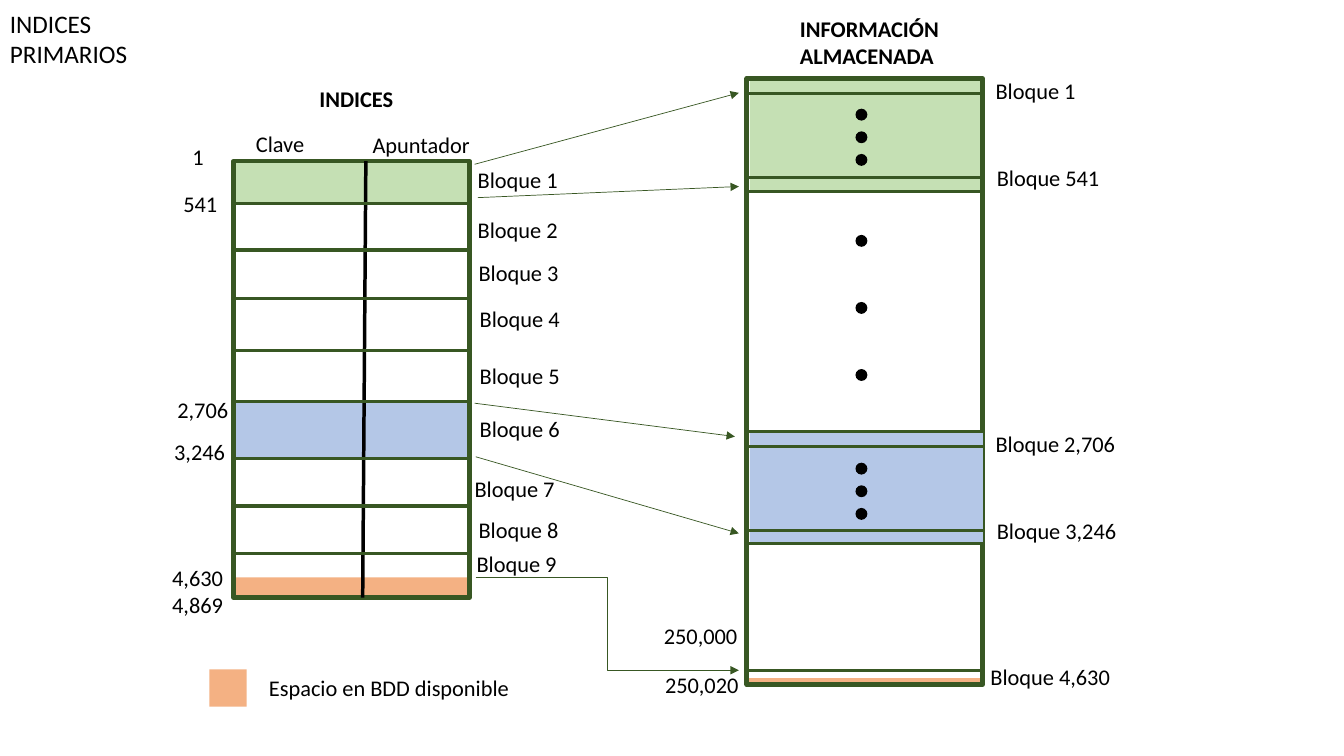
from lxml.etree import SubElement
from pptx import Presentation
from pptx.dml.color import RGBColor
from pptx.enum.shapes import MSO_CONNECTOR, MSO_SHAPE
from pptx.oxml.ns import qn
from pptx.util import Cm, Pt

GREEN, BLUE, ORANGE = "C5E0B4", "B4C7E7", "F4B183"
BORDER, BLACK = "385723", "000000"


def color(value):
    """Turn a hex string into a colour."""
    return RGBColor.from_string(value)


class Diagram:
    """Draw styled elements on one page, with lengths in centimetres."""

    def __init__(self, page, font="Calibri", size=16):
        """Keep the page and its text style."""
        self.page, self.font, self.size = page, font, size

    def shape(self, left, top, width, height, fill=None, kind=MSO_SHAPE.RECTANGLE):
        """Add a filled shape, or a frame when no fill is given."""
        shape = self.page.shapes.add_shape(kind, Cm(left), Cm(top), Cm(width), Cm(height))
        shape.shadow.inherit = False
        if fill:
            shape.fill.solid()
            shape.fill.fore_color.rgb = color(fill)
            shape.line.fill.background()
        else:
            shape.fill.background()
            shape.line.color.rgb = color(BORDER)
            shape.line.width = Pt(3.25)

    def dots(self, top, step):
        """Add three dots as a vertical ellipsis."""
        for index in range(3):
            self.shape(21.56, top + index * step, 0.3, 0.3, BLACK, MSO_SHAPE.OVAL)

    def line(self, start, end, width=2.25, stroke=BORDER, kind=MSO_CONNECTOR.STRAIGHT):
        """Add a connector between two points."""
        connector = self.page.shapes.add_connector(kind, *map(Cm, start + end))
        connector.line.color.rgb = color(stroke)
        connector.line.width = Pt(width)
        SubElement(connector._element.spPr, qn("a:effectLst"))
        return connector

    def arrow(self, start, end, kind=MSO_CONNECTOR.STRAIGHT):
        """Add a thin connector with an arrowhead."""
        connector = self.line(start, end, 0.5, kind=kind)
        outline = connector._element.spPr.find(qn("a:ln"))
        SubElement(outline, qn("a:tailEnd"), type="triangle")

    def rows(self, left, tops):
        """Add the row borders of a column."""
        for top in tops:
            self.line((left, top), (left + COLUMN_WIDTH, top))

    def text(self, words, left, top, width, height=0.94, bold=False, size=None):
        """Add a wrapped text box."""
        box = self.page.shapes.add_textbox(Cm(left), Cm(top), Cm(width), Cm(height))
        box.text_frame.word_wrap = True
        para = box.text_frame.paragraphs[0]
        span = para.add_run()
        span.text = words
        span.font.name = self.font
        span.font.size = Pt(size or self.size)
        span.font.bold = bold
        span.font.color.rgb = color(BLACK)

    def labels(self, items, width):
        """Add a group of labels of equal width."""
        for words, left, top in items:
            self.text(words, left, top, width)


INDEX_LEFT, INDEX_TOP, INDEX_HEIGHT = 5.89, 4.06, 11
STORE_LEFT, STORE_TOP, STORE_HEIGHT = 18.82, 1.98, 15.27
COLUMN_WIDTH = 5.94
INDEX_ROWS = [5.13, 6.3, 7.52, 8.84, 10.11, 11.56, 12.75, 13.94]
STORE_ROWS = [2.36, 4.47, 4.83, 10.87, 11.25, 13.36, 13.69, 16.89]
INDEX_BLOCKS = [
    (11.79, 4.06), (11.79, 5.31), (11.81, 6.4), (11.84, 7.57), (11.84, 8.99),
    (11.84, 10.34), (11.71, 11.84), (11.81, 12.88), (11.76, 13.74),
]
STORE_BLOCKS = [
    ("Bloque 1", 24.84, 1.83), ("Bloque 541", 24.87, 4.01),
    ("Bloque 2,706", 24.84, 10.72), ("Bloque 3,246", 24.87, 12.9),
    ("Bloque 4,630", 24.71, 16.59),
]
KEYS = [
    ("1", 4.6, 3.48), ("541", 4.37, 4.67), ("2,706", 4.22, 9.86),
    ("3,246", 4.14, 10.92), ("4,630", 4.09, 14.1), ("4,869", 4.09, 14.78),
]
RECORDS = [("250,000", 16.48, 15.54), ("250,020", 16.51, 16.79)]
HEADERS = [("Clave", 6.2, 3.15), ("Apuntador", 9.14, 3.18)]
POINTERS = [
    ((11.96, 4.14), (18.62, 2.34)), ((12.04, 4.98), (18.62, 4.7)),
    ((11.96, 10.16), (18.52, 11)), ((11.99, 11.51), (18.62, 13.44)),
]

deck = Presentation()
deck.slide_width, deck.slide_height = Cm(33.87), Cm(19.05)
diagram = Diagram(deck.slides.add_slide(deck.slide_layouts[6]))

for top, height, fill in [(4.11, 1, GREEN), (10.11, 1.45, BLUE), (14.55, 0.48, ORANGE)]:
    diagram.shape(INDEX_LEFT, top, COLUMN_WIDTH, height, fill)
diagram.shape(INDEX_LEFT, INDEX_TOP, COLUMN_WIDTH, INDEX_HEIGHT)
diagram.line((9.22, INDEX_TOP), (9.14, INDEX_TOP + INDEX_HEIGHT), 2.5, BLACK)
diagram.rows(INDEX_LEFT, INDEX_ROWS)

diagram.shape(18.9, STORE_TOP, 5.87, 2.84, GREEN)
diagram.shape(STORE_LEFT, 17.09, COLUMN_WIDTH, 0.13, ORANGE)
diagram.shape(STORE_LEFT, STORE_TOP, COLUMN_WIDTH, STORE_HEIGHT)
diagram.shape(18.9, 10.85, 5.87, 2.84, BLUE)
diagram.rows(STORE_LEFT, STORE_ROWS)
for top, step in [(2.74, 0.57), (5.92, 1.69), (11.66, 0.57)]:
    diagram.dots(top, step)

for start, end in POINTERS:
    diagram.arrow(start, end)
diagram.arrow((11.99, 14.55), (18.62, 16.89), MSO_CONNECTOR.ELBOW)

for number, (left, top) in enumerate(INDEX_BLOCKS, 1):
    diagram.text(f"Bloque {number}", left, top, 3)
diagram.labels(STORE_BLOCKS, 4)
diagram.labels(KEYS, 2)
diagram.labels(RECORDS, 2.4)
diagram.labels(HEADERS, 3.07)

diagram.text("INDICES PRIMARIOS", 0, 0.08, 3.8, 1.8, size=18)
diagram.text("INDICES", 7.8, 2.03, 3.07, bold=True)
diagram.text("INFORMACIÓN ALMACENADA", 19.91, 0.25, 5.26, 1.63, bold=True)
diagram.shape(5.28, 16.87, 0.94, 0.94, ORANGE)
diagram.text("Espacio en BDD disponible", 6.53, 16.87, 6.73)

deck.save("out.pptx")
